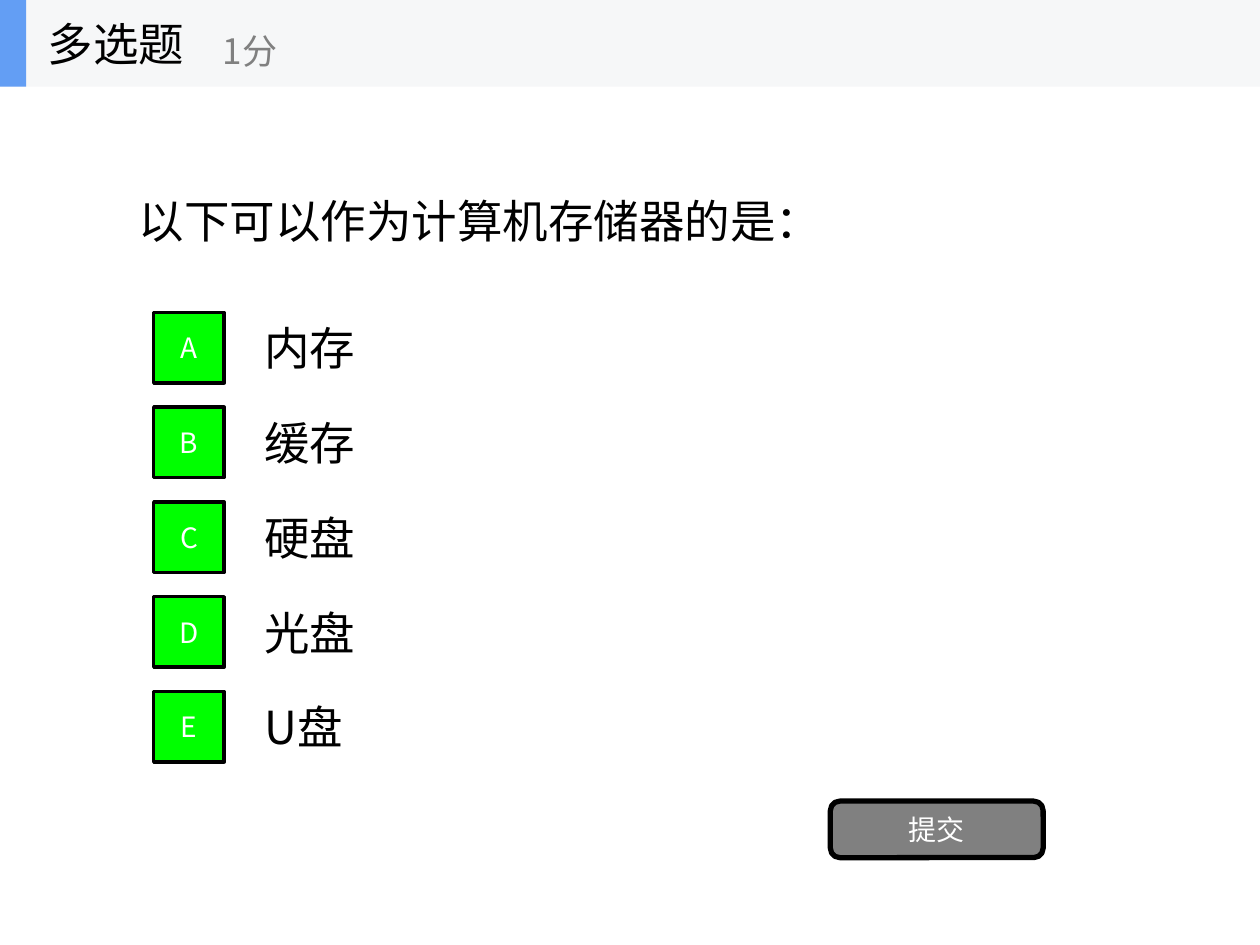
from lxml import etree
from pptx import Presentation
from pptx import util as u
from pptx.dml.color import RGBColor
from pptx.enum import shapes, text
from pptx.oxml.ns import qn

KIND, SCORE = "多选题", "1分"
QUESTION = "以下可以作为计算机存储器的是："
OPTIONS = [("A", "内存"), ("B", "缓存"), ("C", "硬盘"), ("D", "光盘"), ("E", "U盘")]
SUBMIT = "提交"

FONT = "Noto Sans CJK SC"
BLACK = RGBColor(0x00, 0x00, 0x00)
WHITE = RGBColor(0xFF, 0xFF, 0xFF)
GRAY = RGBColor(0x80, 0x80, 0x80)
GREEN = RGBColor(0x00, 0xFF, 0x00)
BLUE = RGBColor(0x63, 0x9E, 0xF4)
PALE = RGBColor(0xF6, 0xF7, 0xF8)

WIDTH, HEIGHT = u.Cm(25.4), u.Cm(19.05)
HEADER_H = u.Cm(1.75)
FIRST_ROW, ROW_H, PITCH = u.Cm(6.12), u.Cm(1.78), u.Cm(1.91)
BOX = u.Cm(1.42)


def write(sp, content, size=26, color=BLACK, align=text.PP_ALIGN.LEFT):
    tf = sp.text_frame
    tf.word_wrap = True
    tf.auto_size = text.MSO_AUTO_SIZE.NONE
    tf.vertical_anchor = text.MSO_ANCHOR.MIDDLE
    p = tf.paragraphs[0]
    p.alignment = align
    r = p.add_run()
    r.text = content
    r.font.size, r.font.name = u.Pt(size), FONT
    r.font.color.rgb = color
    etree.SubElement(r.font._element, qn("a:ea"), typeface=FONT)


def add_text(s, content, x, y, w, h, **fmt):
    write(s.shapes.add_textbox(x, y, w, h), content, **fmt)


def add_block(s, x, y, w, h, fill, label=None, border=0,
              kind=shapes.MSO_SHAPE.RECTANGLE):
    sp = s.shapes.add_shape(kind, x, y, w, h)
    sp.shadow.inherit = False
    sp.fill.solid()
    sp.fill.fore_color.rgb = fill
    if border:
        sp.line.color.rgb = BLACK
        sp.line.width = u.Pt(border)
    else:
        sp.line.fill.background()
    if label:
        write(sp, label, size=16, color=WHITE, align=text.PP_ALIGN.CENTER)


def main():
    prs = Presentation()
    prs.slide_width, prs.slide_height = WIDTH, HEIGHT
    s = prs.slides.add_slide(prs.slide_layouts[5])

    title = s.shapes.title
    title.left, title.top = u.Cm(2.54), HEADER_H
    title.width, title.height = u.Cm(20.32), u.Cm(5.38)
    write(title, QUESTION)

    for i, (letter, answer) in enumerate(OPTIONS):
        y = FIRST_ROW + i * PITCH
        add_text(s, answer, u.Cm(5.08), y, u.Cm(17.78), ROW_H)
        add_block(s, u.Cm(3.1), y + (ROW_H - BOX) // 2, BOX, BOX, GREEN,
                  label=letter, border=2)

    add_block(s, u.Cm(16.74), u.Cm(16.15), u.Cm(4.29), u.Cm(1.14), GRAY,
              label=SUBMIT, border=3, kind=shapes.MSO_SHAPE.ROUNDED_RECTANGLE)

    add_block(s, 0, 0, WIDTH, HEADER_H, PALE)
    add_block(s, 0, 0, u.Cm(0.53), HEADER_H, BLUE)
    add_text(s, KIND, u.Cm(0.71), 0, u.Cm(5.28), HEADER_H)
    add_text(s, SCORE, u.Cm(4.24), u.Cm(0.3), u.Cm(6.35), u.Cm(1.42),
             size=20, color=GRAY)

    prs.save("out.pptx")


if __name__ == "__main__":
    main()
